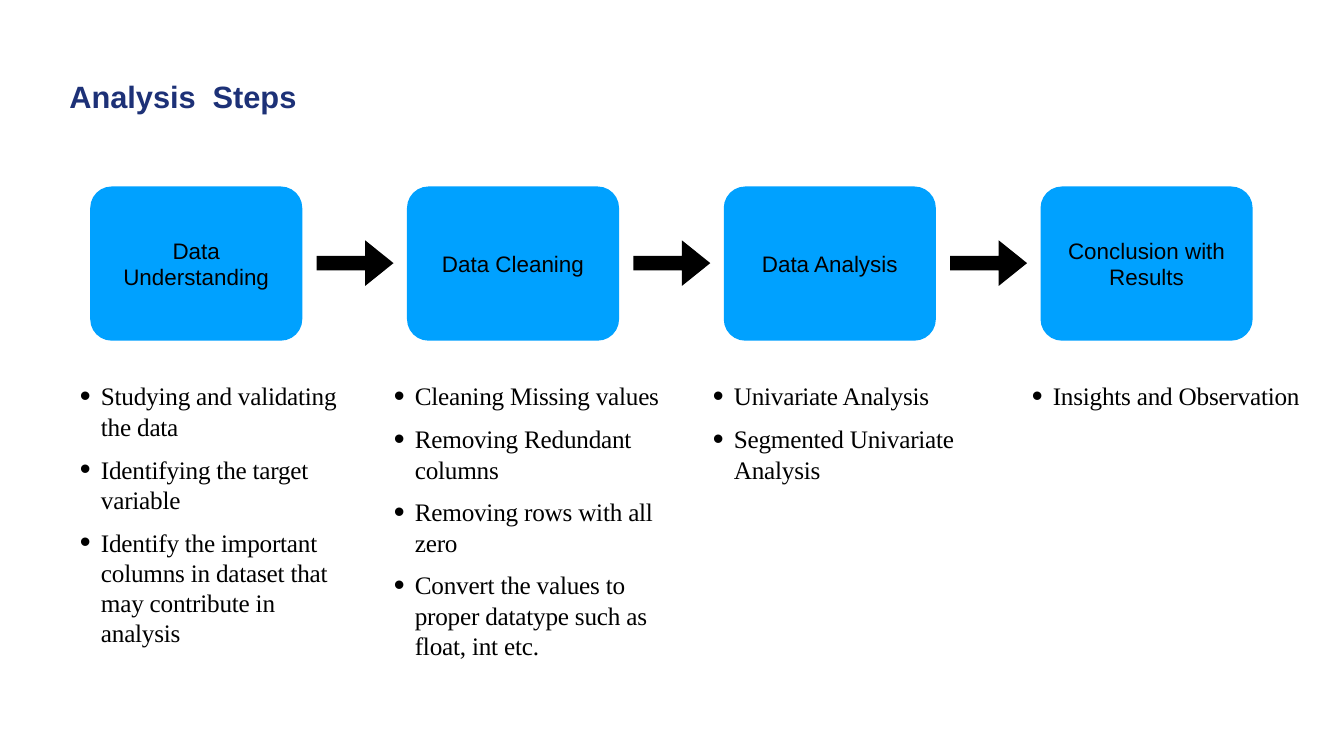
import pptx
import pptx.dml.color
import pptx.enum.shapes
import pptx.enum.text
import pptx.oxml.ns
import lxml.etree
from dataclasses import dataclass

Pt = pptx.util.Pt
RGB = pptx.dml.color.RGBColor.from_string
Kind = pptx.enum.shapes.MSO_SHAPE
Anchor = pptx.enum.text.MSO_ANCHOR
Align = pptx.enum.text.PP_ALIGN


@dataclass
class Theme:
    navy: str = "1D3177"
    blue: str = "00A1FF"
    black: str = "000000"
    sans: str = "Arial"
    serif: str = "Times New Roman"
    title: int = 44
    gap: int = 85
    label: int = 32
    list: int = 36


theme = Theme()


def style(run, face, size, color, bold=False, track=0):
    font = run.font
    font.name, font.size, font.bold = face, Pt(size), bold
    font.color.rgb = RGB(color)
    if track:
        run._r.get_or_add_rPr().set("spc", str(track))


def setup(frame, anchor):
    frame.word_wrap = True
    frame.auto_size = pptx.enum.text.MSO_AUTO_SIZE.NONE
    frame.vertical_anchor = anchor
    frame.margin_left = frame.margin_right = Pt(4)
    frame.margin_top = frame.margin_bottom = Pt(4)


# Slide
deck = pptx.Presentation()
deck.slide_width, deck.slide_height = Pt(1920.24), Pt(1080)
slide = deck.slides.add_slide(deck.slide_layouts[1])
shapes = slide.shapes

# Title, with a wide space between the words
title = shapes.title
title.left, title.top, title.width, title.height = Pt(95), Pt(85), Pt(1730), Pt(113)
setup(title.text_frame, Anchor.TOP)
line = title.text_frame.paragraphs[0]
line.alignment = Align.LEFT
line.line_spacing = 0.8
for text, size, color, track in [
    ("Analysis", theme.title, theme.navy, 0),
    (" ", theme.gap, theme.black, -170),
    ("Steps", theme.title, theme.navy, 0),
]:
    run = line.add_run()
    run.text = text
    style(run, theme.sans, size, color, True, track)

# Steps: label, left edge of the list, list items
steps = [
    ("Data Understanding", 110.2, [
        "Studying and validating the data",
        "Identifying the target variable",
        "Identify the important columns in dataset that may contribute in analysis",
    ]),
    ("Data Cleaning", 558.7, [
        "Cleaning Missing values",
        "Removing Redundant columns",
        "Removing rows with all zero",
        "Convert the values to proper datatype such as float, int etc.",
    ]),
    ("Data Analysis", 1014.5, [
        "Univariate Analysis",
        "Segmented Univariate Analysis",
    ]),
    ("Conclusion with Results", 1470.2, ["Insights and Observation"]),
]
pitch = 452.6

for i, (label, left, items) in enumerate(steps):
    # Step box, and an arrow to the next one
    parts = [(Kind.ROUNDED_RECTANGLE, 128.9, 266.4, 303, 220.3, theme.blue, [0.139])]
    if i < len(steps) - 1:
        parts.append((Kind.RIGHT_ARROW, 452.2, 343.4, 110, 65, theme.black, [0.316, 0.622]))
    for kind, x, y, w, h, color, adjust in parts:
        part = shapes.add_shape(kind, Pt(x + i * pitch), Pt(y), Pt(w), Pt(h))
        part.shadow.inherit = False
        part.fill.solid()
        part.fill.fore_color.rgb = RGB(color)
        part.line.fill.background()
        for n, value in enumerate(adjust):
            part.adjustments[n] = value
        if kind == Kind.ROUNDED_RECTANGLE:
            frame = part.text_frame
            setup(frame, Anchor.MIDDLE)
            frame.text = label
            frame.paragraphs[0].alignment = Align.CENTER
            style(frame.paragraphs[0].runs[0], theme.sans, theme.label, theme.black)

    # List below the box: the first one is the body placeholder
    place = [Pt(left), Pt(540), Pt(396.7), Pt(412)]
    if i == 0:
        body = slide.placeholders[1]
        body.left, body.top, body.width, body.height = place
    else:
        body = shapes.add_textbox(*place)
    frame = body.text_frame
    setup(frame, Anchor.TOP)
    frame.text = "\n".join(items)
    for n, line in enumerate(frame.paragraphs):
        props = line._p.get_or_add_pPr()
        props.set("marL", str(Pt(30)))
        props.set("indent", str(-Pt(30)))
        for tag, key, value in [
            ("a:buSzPct", "val", "123000"),
            ("a:buFont", "typeface", theme.sans),
            ("a:buChar", "char", "•"),
        ]:
            lxml.etree.SubElement(props, pptx.oxml.ns.qn(tag)).set(key, value)
        line.alignment = Align.LEFT
        line.space_before = Pt(18 if n else 0)
        style(line.runs[0], theme.serif, theme.list, theme.black, track=-30)

deck.save("out.pptx")
